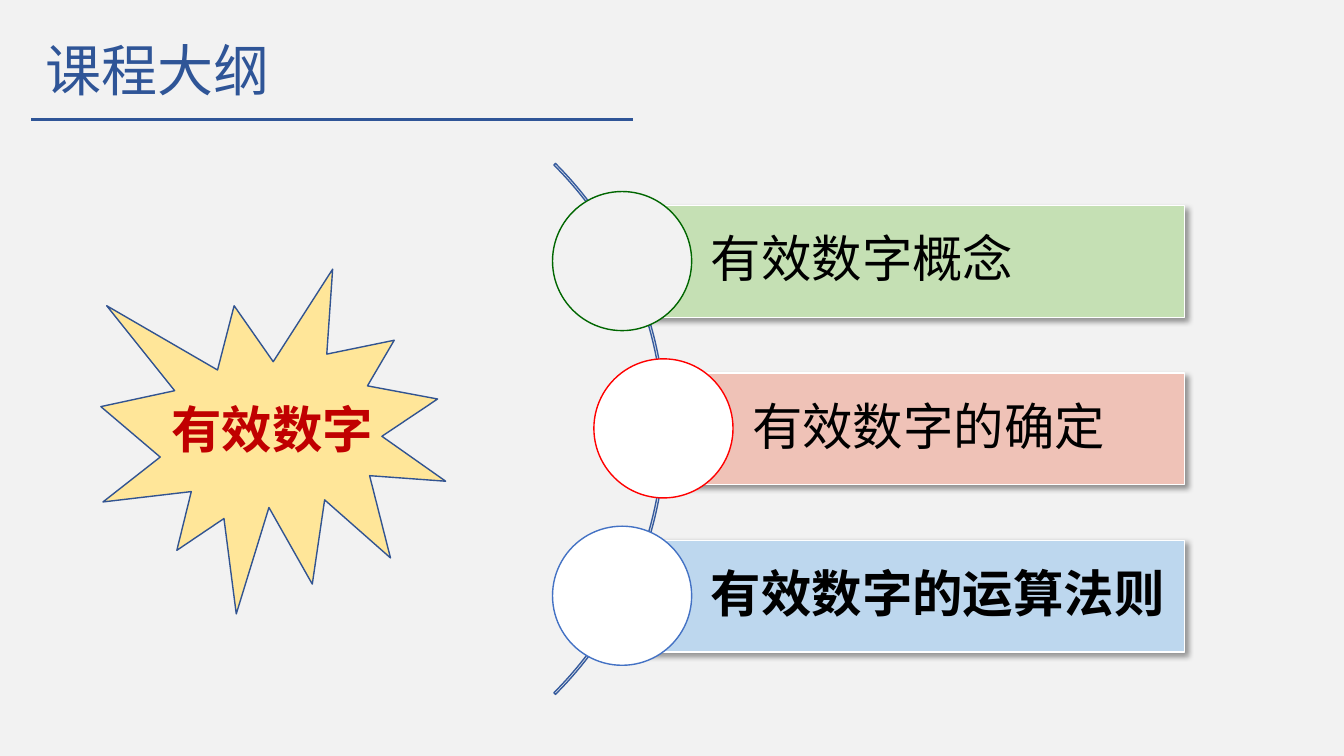
from lxml import etree
from pptx import Presentation
from pptx.dml.color import RGBColor
from pptx.enum import shapes, text
from pptx.oxml.ns import qn
from pptx.util import Inches, Pt

FONT = "Noto Sans CJK SC"
GRAY = RGBColor(0xF2, 0xF2, 0xF2)
WHITE = RGBColor(0xFF, 0xFF, 0xFF)
BLACK = RGBColor(0, 0, 0)
NAVY = RGBColor(0x2F, 0x55, 0x97)
ARC = RGBColor(0x36, 0x5B, 0x9D)
EDGE = RGBColor(0x32, 0x54, 0x91)
GOLD = RGBColor(0xFF, 0xE6, 0x99)
CRIMSON = RGBColor(0xC0, 0, 0)
GREEN = RGBColor(0xC5, 0xE0, 0xB4)
FOREST = RGBColor(0, 0x66, 0)
ROSE = RGBColor(0xEF, 0xC2, 0xB7)
RED = RGBColor(0xFF, 0, 0)
SKY = RGBColor(0xBD, 0xD7, 0xEE)
BLUE = RGBColor(0x44, 0x72, 0xC4)

KIND = shapes.MSO_SHAPE
TOPICS = [
    ("有效数字概念", GREEN, FOREST, GRAY, 0, False),
    ("有效数字的确定", ROSE, RED, WHITE, 0.41, False),
    ("有效数字的运算法则", SKY, BLUE, WHITE, 0, True),
]


def draw(slide, kind, box, fill, line):
    """Add a preset shape with a thin outline and an optional fill."""
    shape = slide.shapes.add_shape(kind, *map(Inches, box))
    shape.shadow.inherit = False
    if fill is None:
        shape.fill.background()
    else:
        shape.fill.solid()
        shape.fill.fore_color.rgb = fill
    shape.line.color.rgb = line
    shape.line.width = Pt(1)
    return shape


def write(frame, words, size, color, bold=False, space=1.0):
    """Put one left-aligned paragraph into a text frame."""
    para = frame.paragraphs[0]
    para.text = words
    para.alignment = text.PP_ALIGN.LEFT
    para.line_spacing = space
    font = para.font
    font.name, font.size, font.bold = FONT, Pt(size), bold
    font.color.rgb = color
    props = para._p.pPr.find(qn("a:defRPr"))
    etree.SubElement(props, qn("a:ea"), typeface=FONT)


def shade(shape):
    """Give a shape a soft shadow to the lower right."""
    effects = shape._element.spPr.find(qn("a:effectLst"))
    outer = etree.SubElement(effects, qn("a:outerShdw"), blurRad=str(Pt(4)),
                             dist=str(Pt(3)), dir="2700000", algn="tl", rotWithShape="0")
    color = etree.SubElement(outer, qn("a:srgbClr"), val=str(BLACK))
    etree.SubElement(color, qn("a:alpha"), val="40000")


def add_title(slide, x, y, w):
    """Place the heading and the rule below it."""
    box = slide.shapes.add_textbox(Inches(x + 0.04), Inches(y), Inches(3.17), Inches(0.63))
    box.text_frame.word_wrap = True
    write(box.text_frame, "课程大纲", 40, NAVY, space=0.9)
    level = Inches(y + 0.81)
    rule = slide.shapes.add_connector(shapes.MSO_CONNECTOR.STRAIGHT,
                                      Inches(x), level, Inches(x + w), level)
    rule.line.color.rgb = NAVY
    rule.line.width = Pt(2.25)
    etree.SubElement(rule._element.spPr, qn("a:effectLst"))


def add_star(slide, x, y, side):
    """Place the star burst with the subject on it."""
    draw(slide, KIND.EXPLOSION1, (x, y, side, side), GOLD, EDGE)
    box = slide.shapes.add_textbox(Inches(x + 0.6), Inches(y + 1.23), Inches(2.22), Inches(0.71))
    box.text_frame.word_wrap = False
    box.text_frame.auto_size = text.MSO_AUTO_SIZE.SHAPE_TO_FIT_TEXT
    write(box.text_frame, "有效数字", 36, CRIMSON, bold=True)


def add_topic(slide, x, y, right, topic):
    """Place one topic bar and the disc at its left end."""
    words, fill, line, inside, shift, bold = topic
    disc = 1.38
    left = x + shift
    start = left + disc / 2
    bar = draw(slide, KIND.RECTANGLE, (start, y + 0.14, right - start, 1.11), fill, WHITE)
    shade(bar)
    frame = bar.text_frame
    frame.word_wrap = True
    frame.vertical_anchor = text.MSO_ANCHOR.MIDDLE
    frame.margin_left = Inches(0.88)
    frame.margin_right = frame.margin_top = frame.margin_bottom = Inches(0.1)
    write(frame, words, 36, BLACK, bold, 0.9)
    draw(slide, KIND.OVAL, (left, y, disc, disc), inside, line)


def add_list(slide, x, y, right):
    """Place the arc and the topics strung along it."""
    arc = draw(slide, KIND.BLOCK_ARC, (x - 6.33, y - 1.37, 7.45, 7.45), None, ARC)
    for i, value in enumerate((189, 27, 0.003)):
        arc.adjustments[i] = value
    for i, topic in enumerate(TOPICS):
        add_topic(slide, x, y + 1.66 * i, right, topic)


def main():
    """Build the outline slide and save it."""
    deck = Presentation()
    deck.slide_width, deck.slide_height = Inches(13.33), Inches(7.5)
    slide = deck.slides.add_slide(deck.slide_layouts[6])
    slide.background.fill.solid()
    slide.background.fill.fore_color.rgb = GRAY
    add_title(slide, 0.31, 0.38, 5.97)
    add_list(slide, 5.48, 1.9, 11.75)
    add_star(slide, 1, 2.67, 3.42)
    deck.save("out.pptx")


if __name__ == "__main__":
    main()
